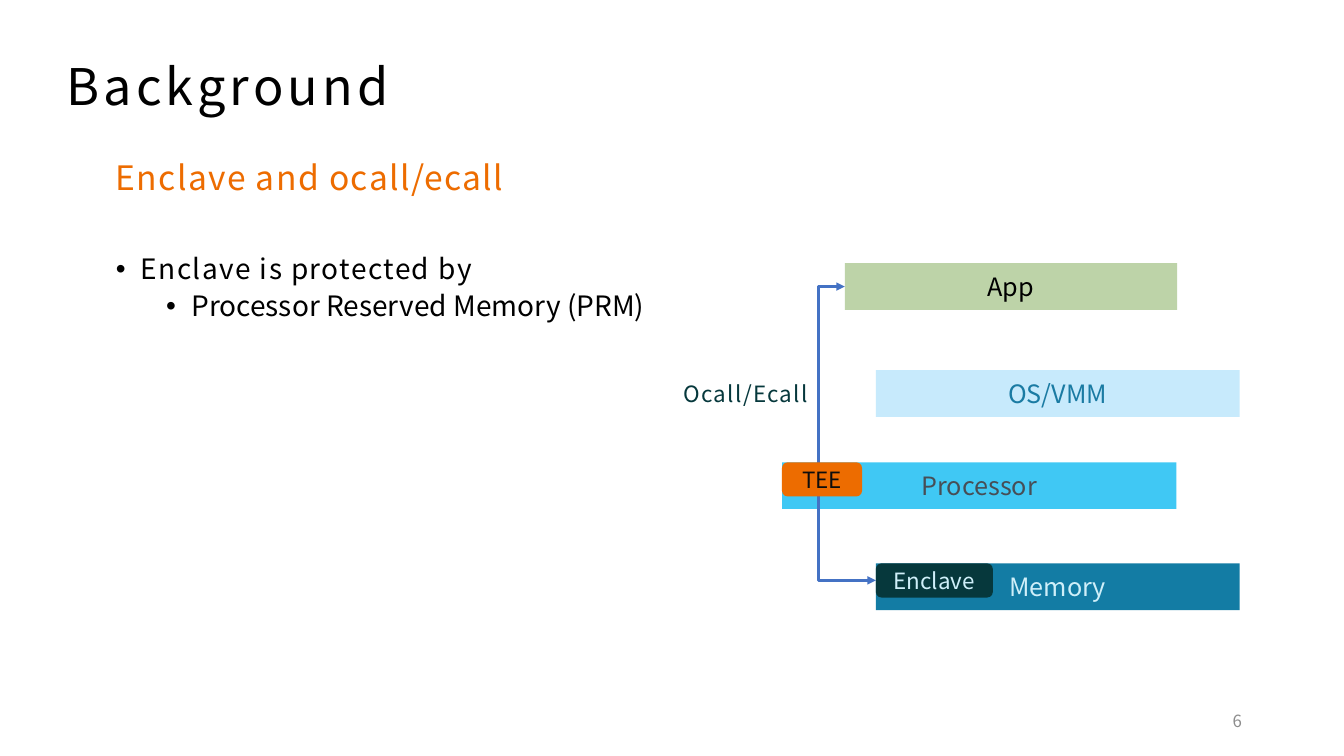
from lxml.etree import SubElement
from pptx import Presentation
from pptx.dml.color import RGBColor
from pptx.enum.shapes import MSO_CONNECTOR as Link, MSO_SHAPE as Preset
from pptx.enum.text import MSO_ANCHOR as Anchor, MSO_AUTO_SIZE as Fit, PP_ALIGN as Align
from pptx.oxml.ns import qn
from pptx.util import Pt

# Content: places are left, top, width, height in points
FONT = "Noto Sans CJK SC"
TEXTS = [
    dict(place=(40.3, 41, 836.6, 70.6), paras=[
        dict(text="Background", size=36, color="000000", track=3, before=10, line=0.9)]),
    dict(place=(75.6, 111.6, 758.9, 51.8), paras=[
        dict(text="Enclave and ocall/ecall", size=24, color="ED6C00", track=1,
             before=10, line=0.9)]),
    dict(place=(75.6, 178.6, 594, 272.2), paras=[
        dict(text="Enclave is protected by", size=20, color="000000", track=1,
             before=10, line=0.9, indent=18),
        dict(text="Processor Reserved Memory (PRM)", size=20, color="000000",
             before=5, line=0.9, indent=54, level=1)]),
    dict(place=(678.2, 500.4, 216, 28.8), anchor=Anchor.MIDDLE, paras=[
        dict(text="6", size=12, color="8C8C8C", align=Align.RIGHT)]),
    dict(place=(481, 267.8, 122.4, 26.6), fit=Fit.SHAPE_TO_FIT_TEXT, paras=[
        dict(text="Ocall/Ecall", size=16, color="06383C", track=1)]),
]
# Text, left, top, width, fill, text colour
LAYERS = [
    ("App", 603.4, 188, 237.4, "BDD3A8", "000000"),
    ("OS/VMM", 625.6, 264.4, 259.8, "C7EAFC", "1A7BA3"),
    ("Processor", 558.6, 330.2, 281.8, "40C8F4", "474E56"),
    ("Memory", 625.6, 402.4, 259.8, "137CA4", "CFEFF9"),
]
# Each tag sits in the top left corner of its layer: text, layer, width, fill, text colour
TAGS = [
    ("TEE", "Processor", 57.2, "ED6C00", "0D0D0D"),
    ("Enclave", "Memory", 83.6, "06383C", "CFEFF9"),
]
LAYER_HEIGHT, TAG_HEIGHT = 33.4, 24.4
CALL_X, CALL_COLOR = 584.7, "4472C4"


def rgb(code):
    return RGBColor.from_string(code)


def assign(target, **values):
    for name, value in values.items():
        setattr(target, name, value)


def write(para, text, size, color, track=0, before=0, line=None, indent=0, level=0,
          align=Align.LEFT):
    assign(para, alignment=align, space_before=Pt(before), line_spacing=line, level=level)
    span = para.add_run()
    span.text = text
    assign(span.font, name=FONT, size=Pt(size))
    span.font.color.rgb = rgb(color)
    props = span._r.get_or_add_rPr()
    SubElement(props, qn("a:ea")).set("typeface", FONT)
    if track:
        props.set("spc", str(track * 100))
    if indent:
        props = para._p.get_or_add_pPr()
        props.set("marL", str(Pt(indent)))
        props.set("indent", str(Pt(-18)))
        SubElement(props, qn("a:buFont")).set("typeface", "Arial")
        SubElement(props, qn("a:buChar")).set("char", "•")


def add_block(page, preset, place, text, size, fill, color):
    box = page.shapes.add_shape(preset, *map(Pt, place))
    box.shadow.inherit = False
    box.fill.solid()
    box.fill.fore_color.rgb = rgb(fill)
    box.line.fill.background()
    frame = box.text_frame
    assign(frame, word_wrap=True, vertical_anchor=Anchor.MIDDLE)
    write(frame.paragraphs[0], text, size, color, align=Align.CENTER)


def add_call(page, start, end):
    """Elbow arrow that runs left to CALL_X, down, then right to its end."""
    call = page.shapes.add_connector(Link.ELBOW, *map(Pt, start + end))
    call.line.width = Pt(2)
    call.line.color.rgb = rgb(CALL_COLOR)
    bend = round((CALL_X - start[0]) / (end[0] - start[0]) * 100000)
    props = call._element.spPr
    guides = props.find(qn("a:prstGeom")).get_or_add_avLst()
    guide = SubElement(guides, qn("a:gd"))
    guide.set("name", "adj1")
    guide.set("fmla", f"val {bend}")
    for tip in ("a:headEnd", "a:tailEnd"):
        SubElement(props.find(qn("a:ln")), qn(tip)).set("type", "triangle")
    SubElement(props, qn("a:effectLst"))


def main():
    deck = Presentation()
    assign(deck, slide_width=Pt(960), slide_height=Pt(540))
    page = deck.slides.add_slide(deck.slide_layouts[6])

    # Layers of the system
    corners = {}
    for text, left, top, width, fill, color in LAYERS:
        corners[text] = (left, top)
        add_block(page, Preset.RECTANGLE, (left, top, width, LAYER_HEIGHT),
                  text, 18, fill, color)

    # Call between the app and the enclave, under the tags
    app, memory = corners["App"], corners["Memory"]
    add_call(page, (app[0], app[1] + LAYER_HEIGHT / 2),
             (memory[0], memory[1] + TAG_HEIGHT / 2))
    for text, layer, width, fill, color in TAGS:
        add_block(page, Preset.ROUNDED_RECTANGLE, (*corners[layer], width, TAG_HEIGHT),
                  text, 16, fill, color)

    # Title, subtitle, bullets, page number and call label
    for item in TEXTS:
        frame = page.shapes.add_textbox(*map(Pt, item["place"])).text_frame
        assign(frame, word_wrap=True, auto_size=item.get("fit", Fit.NONE),
               vertical_anchor=item.get("anchor", Anchor.TOP))
        for number, values in enumerate(item["paras"]):
            write(frame.add_paragraph() if number else frame.paragraphs[0], **values)

    deck.save("out.pptx")


if __name__ == "__main__":
    main()
